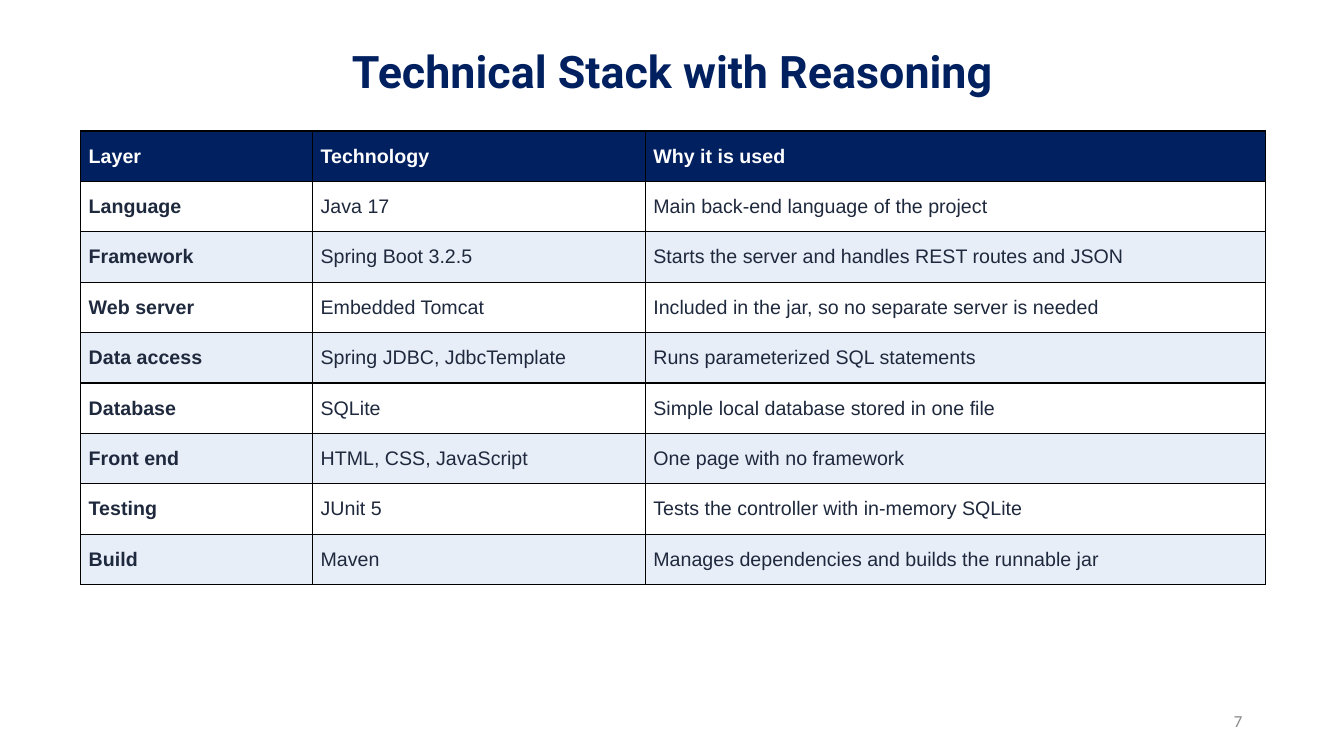
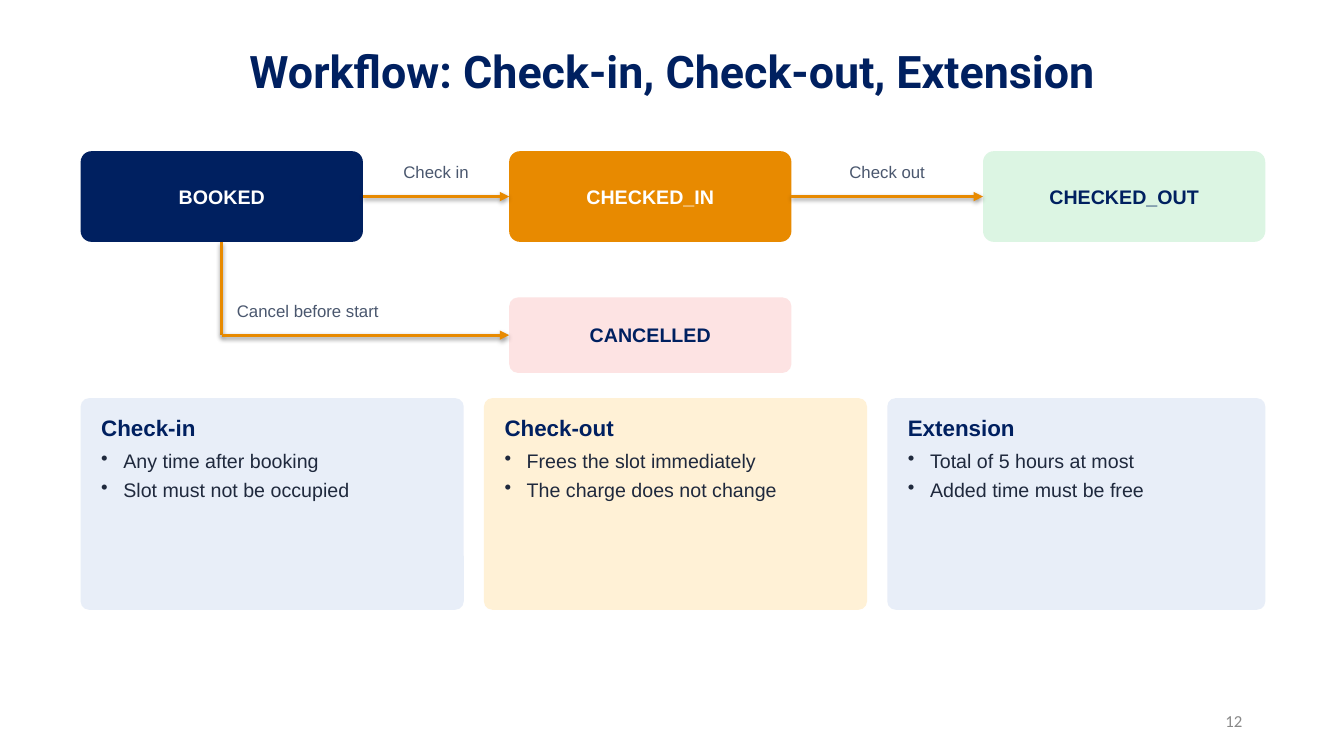
from lxml import etree
from pptx import Presentation
from pptx.dml.color import RGBColor
from pptx.enum.shapes import MSO_CONNECTOR as CONNECTOR, MSO_SHAPE as SHAPE
from pptx.enum.text import MSO_ANCHOR as ANCHOR, MSO_AUTO_SIZE as AUTO_SIZE, PP_ALIGN as ALIGN
from pptx.oxml.ns import qn
from pptx.util import Inches, Pt

# Shared palette and text styles
NAVY, WHITE, ORANGE, INK = "002060", "FFFFFF", "E88A00", "1F293D"
PALE_BLUE, PALE_YELLOW, PALE_GREEN, PALE_RED = "E8EEF8", "FFF1D6", "DCF5E3", "FDE3E3"
TITLE = dict(name="Roboto", size=32, bold=True, color=NAVY)
FOOTER = dict(name="Calibri", size=12, bold=False, color="888888")
BODY = dict(name="Arial", size=14, bold=False, color=INK)
STRONG = BODY | dict(bold=True)
HEADING = STRONG | dict(size=16, color=NAVY)
LABEL = BODY | dict(size=12, color="4A576E")

LEFT, WIDTH = 0.8, 11.75  # content column

TABLE_ROWS = [
    ("Layer", "Technology", "Why it is used"),
    ("Language", "Java 17", "Main back-end language of the project"),
    ("Framework", "Spring Boot 3.2.5", "Starts the server and handles REST routes and JSON"),
    ("Web server", "Embedded Tomcat", "Included in the jar, so no separate server is needed"),
    ("Data access", "Spring JDBC, JdbcTemplate", "Runs parameterized SQL statements"),
    ("Database", "SQLite", "Simple local database stored in one file"),
    ("Front end", "HTML, CSS, JavaScript", "One page with no framework"),
    ("Testing", "JUnit 5", "Tests the controller with in-memory SQLite"),
    ("Build", "Maven", "Manages dependencies and builds the runnable jar"),
]
PANELS = [
    ("Check-in", PALE_BLUE, ["Any time after booking", "Slot must not be occupied"]),
    ("Check-out", PALE_YELLOW, ["Frees the slot immediately", "The charge does not change"]),
    ("Extension", PALE_BLUE, ["Total of 5 hours at most", "Added time must be free"]),
]


def rgb(color):
    return RGBColor.from_string(color)


def inches(*lengths):
    return [Inches(length) for length in lengths]


def write(para, text, style, align=ALIGN.LEFT):
    para.alignment = align
    span = para.add_run()
    span.text = text
    for key, value in style.items():
        if key == "color":
            span.font.color.rgb = rgb(value)
        else:
            setattr(span.font, key, Pt(value) if key == "size" else value)


def set_frame(frame, anchor=ANCHOR.TOP, side=0, edge=0, auto_size=AUTO_SIZE.NONE):
    settings = dict(word_wrap=True, vertical_anchor=anchor, auto_size=auto_size,
                    margin_left=Inches(side), margin_right=Inches(side),
                    margin_top=Inches(edge), margin_bottom=Inches(edge))
    for key, value in settings.items():
        setattr(frame, key, value)


def add_text(page, box, text, style, align=ALIGN.LEFT, **frame_settings):
    frame = page.shapes.add_textbox(*inches(*box)).text_frame
    set_frame(frame, **frame_settings)
    write(frame.paragraphs[0], text, style, align)


def add_card(page, box, fill, rounding):
    card = page.shapes.add_shape(SHAPE.ROUNDED_RECTANGLE, *inches(*box))
    card.adjustments[0] = rounding
    card.shadow.inherit = False
    card.fill.solid()
    card.fill.fore_color.rgb = rgb(fill)
    card.line.fill.background()
    return card


def add_page(deck, title, number):
    """Add a slide with its title and page number."""
    page = deck.slides.add_slide(deck.slide_layouts[5])
    heading = page.shapes.title
    heading.left, heading.top, heading.width, heading.height = inches(1.16, 0.49, 11.02, 0.48)
    set_frame(heading.text_frame, ANCHOR.MIDDLE, auto_size=AUTO_SIZE.SHAPE_TO_FIT_TEXT)
    para = heading.text_frame.paragraphs[0]
    para.line_spacing = 0.9
    write(para, title, TITLE, ALIGN.CENTER)
    add_text(page, (9.42, 6.95, 3, 0.4), str(number), FOOTER, ALIGN.RIGHT,
             anchor=ANCHOR.MIDDLE, side=0.1, edge=0.05)
    return page


def add_borders(cell):
    props = cell._tc.get_or_add_tcPr()
    for side in ("lnL", "lnR", "lnT", "lnB"):
        line = etree.SubElement(props, qn(f"a:{side}"), w=str(Pt(1)))
        fill = etree.SubElement(line, qn("a:solidFill"))
        etree.SubElement(fill, qn("a:srgbClr"), val="000000")


def add_stack_table(page, box, rows, widths):
    table = page.shapes.add_table(len(rows), len(widths), *inches(*box)).table
    table.horz_banding = False
    for column, width in zip(table.columns, widths):
        column.width = Inches(width)
    for r, row in enumerate(rows):
        table.rows[r].height = Inches(box[3] / len(rows))
        band = NAVY if r == 0 else WHITE if r % 2 else PALE_BLUE
        for c, text in enumerate(row):
            cell = table.cell(r, c)
            cell.vertical_anchor = ANCHOR.MIDDLE
            cell.margin_left = cell.margin_right = Inches(0.08)
            cell.margin_top = cell.margin_bottom = Inches(0.03)
            add_borders(cell)
            cell.fill.solid()
            cell.fill.fore_color.rgb = rgb(band)
            style = STRONG | dict(color=WHITE) if r == 0 else STRONG if c == 0 else BODY
            write(cell.text_frame.paragraphs[0], text, style)


def add_state(page, box, name, fill, color):
    card = add_card(page, box, fill, 0.12)
    set_frame(card.text_frame, ANCHOR.MIDDLE, 0.07, 0.04)
    write(card.text_frame.paragraphs[0], name, STRONG | dict(color=color), ALIGN.CENTER)
    return card


def add_flow_line(page, start, end, source=None, target=None, arrow=True):
    """Draw a line; source and target are (shape, side) pairs to join."""
    line = page.shapes.add_connector(CONNECTOR.STRAIGHT, *inches(*start, *end))
    line.line.color.rgb = rgb(ORANGE)
    line.line.width = Pt(2.25)
    if source:
        line.begin_connect(*source)
    if target:
        line.end_connect(*target)
    if arrow:
        etree.SubElement(line.line._get_or_add_ln(), qn("a:tailEnd"), type="triangle")


def add_state_flow(page, left, top, width):
    """Three states in a row, with the cancelled state under the second."""
    state_w, state_h, cancel_h = 2.8, 0.9, 0.75
    middle_x, last_x = left + 4.25, left + width - state_w
    cancel_y = top + 1.45
    booked = add_state(page, (left, top, state_w, state_h), "BOOKED", NAVY, WHITE)
    checked_in = add_state(page, (middle_x, top, state_w, state_h), "CHECKED_IN", ORANGE, WHITE)
    checked_out = add_state(page, (last_x, top, state_w, state_h), "CHECKED_OUT", PALE_GREEN, NAVY)
    cancelled = add_state(page, (middle_x, cancel_y, state_w, cancel_h), "CANCELLED", PALE_RED, NAVY)

    # Arrows along the row, each with its label
    row_y = top + state_h / 2
    steps = [(booked, checked_in, left + state_w, middle_x, "Check in"),
             (checked_in, checked_out, middle_x + state_w, last_x, "Check out")]
    for source, target, x1, x2, text in steps:
        add_flow_line(page, (x1, row_y), (x2, row_y), (source, 3), (target, 1))
        add_text(page, (x1, top + 0.1, x2 - x1, 0.3), text, LABEL, ALIGN.CENTER)

    # Branch down and across to the cancelled state
    branch_x, branch_y = left + state_w / 2, cancel_y + cancel_h / 2
    corner = (branch_x, branch_y)
    add_flow_line(page, (branch_x, top + state_h), corner, source=(booked, 2), arrow=False)
    add_flow_line(page, corner, (middle_x, branch_y), target=(cancelled, 1))
    add_text(page, (branch_x + 0.15, cancel_y + 0.03, 2.6, 0.3), "Cancel before start", LABEL)


def add_bullet(para):
    props = para._p.get_or_add_pPr()
    props.set("marL", str(Inches(0.22)))
    props.set("indent", str(-Inches(0.22)))
    etree.SubElement(props, qn("a:buChar"), char="•")


def add_panel(page, box, heading, fill, points):
    card = add_card(page, box, fill, 0.04)
    frame = card.text_frame
    set_frame(frame, side=0.18, edge=0.13)
    para = frame.paragraphs[0]
    para.space_after = Pt(6)
    write(para, heading, HEADING)
    for point in points:
        para = frame.add_paragraph()
        add_bullet(para)
        para.space_after = Pt(4)
        write(para, point, BODY)


def add_panels(page, left, top, width, height, panels):
    panel_w, gap = 3.8, 0.2
    for i, panel in enumerate(panels):
        offset = i * (panel_w + gap)
        box = (left + offset, top, min(panel_w, width - offset), height)
        add_panel(page, box, *panel)


def main():
    deck = Presentation()
    deck.slide_width, deck.slide_height = inches(13.33, 7.5)

    page = add_page(deck, "Technical Stack with Reasoning", 7)
    add_stack_table(page, (LEFT, 1.3, WIDTH, 4.5), TABLE_ROWS, (2.3, 3.3, 6.15))

    page = add_page(deck, "Workflow: Check-in, Check-out, Extension", 12)
    add_state_flow(page, LEFT, 1.5, WIDTH)
    add_panels(page, LEFT, 3.95, WIDTH, 2.1, PANELS)

    deck.save("out.pptx")


if __name__ == "__main__":
    main()
